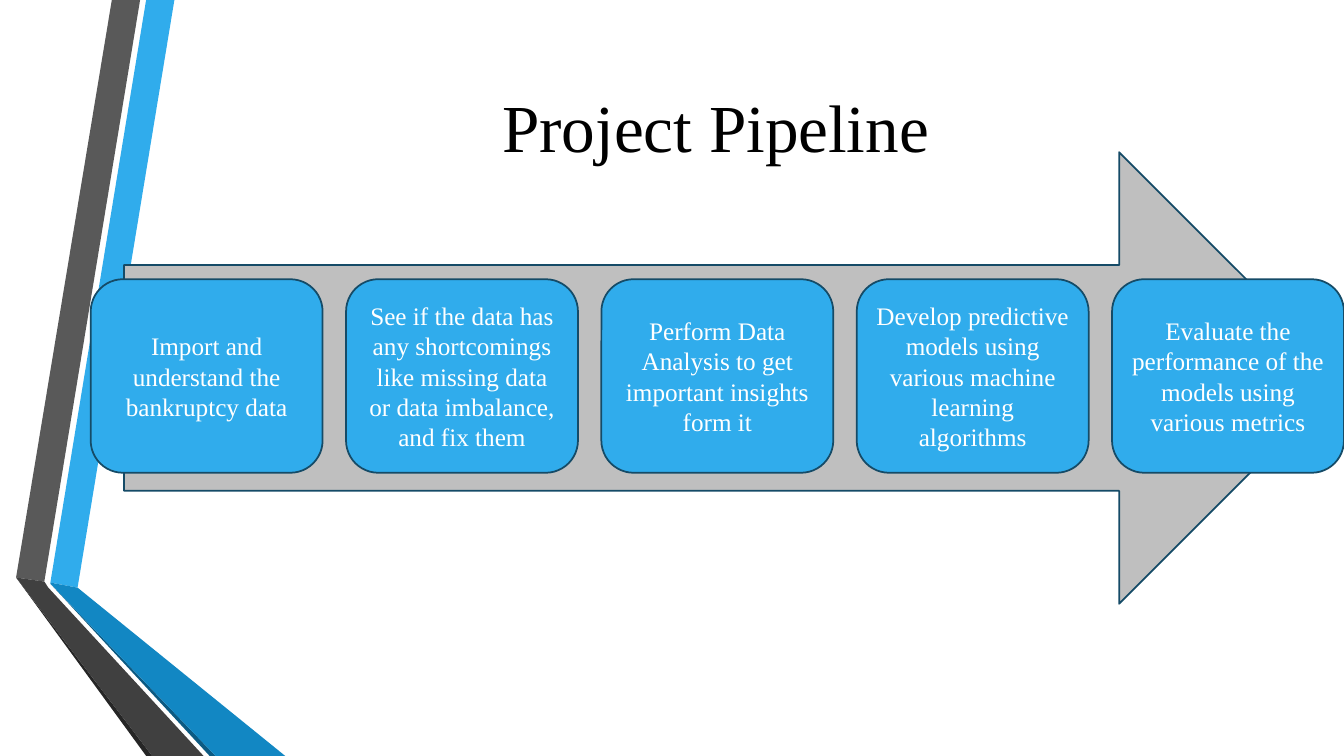
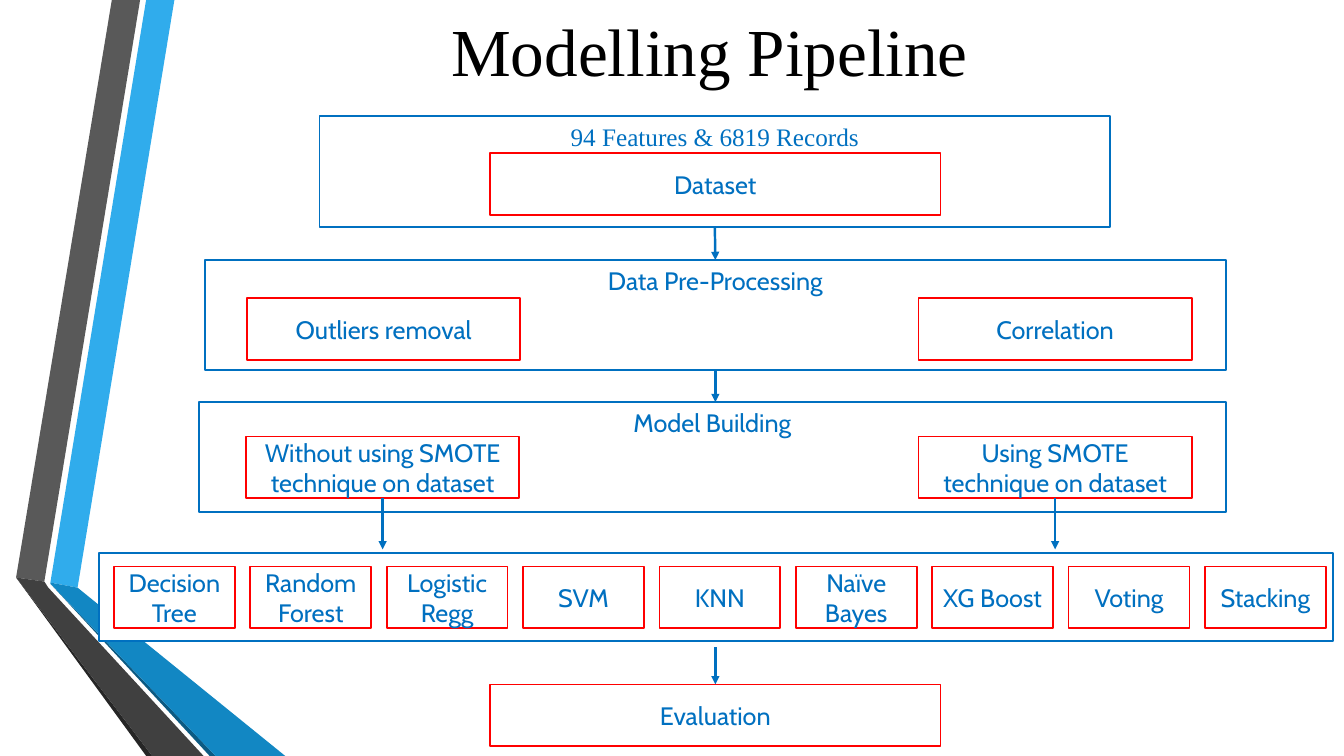
from typing import NamedTuple, Optional

from lxml.etree import SubElement
from pptx import Presentation
from pptx.dml.color import RGBColor
from pptx.enum.shapes import MSO_CONNECTOR as Connector
from pptx.enum.shapes import MSO_SHAPE as Preset
from pptx.enum.text import MSO_ANCHOR as Anchor
from pptx.enum.text import PP_ALIGN as Align
from pptx.oxml.ns import qn
from pptx.shapes.autoshape import Shape
from pptx.slide import Slide
from pptx.util import Inches, Pt

# Shared colours and fonts
BLACK, WHITE, GREY = "000000", "FFFFFF", "BFBFBF"
SKY, NAVY = "30ACEC", "154B67"
BLUE, RED = "0070C0", "FF0000"
SERIF, SANS = "Times New Roman", "Cabin"
BOTTOM_SIDE, TOP_SIDE = 2, 0


class Area(NamedTuple):
    left: float
    top: float
    width: float
    height: float


class Style(NamedTuple):
    fill: str
    line: str
    text: str = WHITE
    font: str = SERIF
    anchor: Anchor = Anchor.MIDDLE
    preset: Preset = Preset.RECTANGLE


class Ribbon(NamedTuple):
    colour: str
    points: list[tuple[float, float]]


class Node(NamedTuple):
    label: str
    area: Area


STEP = Style(SKY, NAVY, preset=Preset.ROUNDED_RECTANGLE)
BAND_ARROW = Style(GREY, NAVY, preset=Preset.RIGHT_ARROW)
FRAME = Style(WHITE, BLUE, BLUE, SANS, Anchor.TOP)
TASK = Style(WHITE, RED, BLUE, SANS)

RIBBONS = [
    Ribbon(SKY, [(0.5, 5.78), (0.77, 5.83), (1.73, 0), (1.45, 0)]),
    Ribbon("595959", [(1.39, 0), (1.11, 0), (0.16, 5.73), (0.44, 5.77)]),
    Ribbon("262626", [(0.16, 5.73), (1.45, 7.5), (1.51, 7.5)]),
    Ribbon("0C5A82", [(0.5, 5.79), (2.08, 7.5), (2.14, 7.5)]),
    Ribbon("1287C3", [(0.5, 5.78), (0.5, 5.79), (2.14, 7.5), (2.83, 7.5), (0.77, 5.83)]),
    Ribbon("404040", [(0.16, 5.73), (1.51, 7.5), (2.02, 7.5), (0.48, 5.83), (0.44, 5.77)]),
]

# Slide content
STEPS = [
    "Import and understand the bankruptcy data",
    "See if the data has any shortcomings like missing data or data imbalance, and fix them",
    "Perform Data Analysis to get important insights form it",
    "Develop predictive models using various machine learning algorithms",
    "Evaluate the performance of the models using various metrics",
]
MODELS = ["Decision Tree", "Random Forest", "Logistic Regg", "SVM", "KNN",
          "Naïve Bayes", "XG Boost", "Voting", "Stacking"]
TASKS = [
    Node("Dataset", Area(4.86, 1.52, 4.47, 0.61)),
    Node("Outliers removal", Area(2.45, 2.96, 2.71, 0.61)),
    Node("Correlation", Area(9.11, 2.96, 2.71, 0.61)),
]
SMOTE_TASKS = [
    Node("Without using SMOTE technique on dataset", Area(2.44, 4.33, 2.71, 0.61)),
    Node("Using SMOTE technique on dataset", Area(9.11, 4.33, 2.71, 0.61)),
]


def rgb(colour: str) -> RGBColor:
    return RGBColor.from_string(colour)


def write(shape: Shape, text: str, size: float, font: str, colour: str, anchor: Anchor) -> None:
    frame = shape.text_frame
    frame.word_wrap = True
    frame.vertical_anchor = anchor
    para = frame.paragraphs[0]
    para.text = text
    para.alignment = Align.CENTER
    para.font.size = Pt(size)
    para.font.name = font
    para.font.color.rgb = rgb(colour)


def paint(shape: Shape, fill: str, line: Optional[str] = None) -> None:
    shape.shadow.inherit = False
    shape.fill.solid()
    shape.fill.fore_color.rgb = rgb(fill)
    if line:
        shape.line.color.rgb = rgb(line)
        shape.line.width = Pt(1.25)
    else:
        shape.line.fill.background()


def add_box(page: Slide, area: Area, style: Style, text: str = "") -> Shape:
    box = page.shapes.add_shape(style.preset, *map(Inches, area))
    paint(box, style.fill, style.line)
    if text:
        write(box, text, 18, style.font, style.text, style.anchor)
    return box


def add_row(page: Slide, labels: list[str], first: Area, last_left: float, style: Style) -> None:
    """Spread equal boxes from the first area to the last left edge."""
    pitch = (last_left - first.left) / (len(labels) - 1)
    for index, label in enumerate(labels):
        add_box(page, first._replace(left=first.left + index * pitch), style, label)


def add_arrow(page: Slide, start: float, stop: float,
              source: Optional[Shape] = None, target: Optional[Shape] = None) -> None:
    """Draw a downward arrow on the centre line of the box it is joined to."""
    box = source or target
    middle = box.left + box.width // 2
    arrow = page.shapes.add_connector(
        Connector.STRAIGHT, middle, Inches(start), middle, Inches(stop))
    if source:
        arrow.begin_connect(source, BOTTOM_SIDE)
    if target:
        arrow.end_connect(target, TOP_SIDE)
    arrow.line.color.rgb = rgb(BLUE)
    arrow.line.width = Pt(1.75)
    properties = arrow.element.find(qn("p:spPr"))
    SubElement(properties.find(qn("a:ln")), qn("a:tailEnd"), type="triangle")
    SubElement(properties, qn("a:effectLst"))


def add_page(deck: Presentation, title: str, area: Area) -> Slide:
    page = deck.slides.add_slide(deck.slide_layouts[6])
    for ribbon in RIBBONS:
        start, *others = [(Inches(x), Inches(y)) for x, y in ribbon.points]
        outline = page.shapes.build_freeform(*start)
        outline.add_line_segments(others, close=True)
        paint(outline.convert_to_shape(), ribbon.colour)
    heading = page.shapes.add_textbox(*map(Inches, area))
    write(heading, title, 48, SERIF, BLACK, Anchor.MIDDLE)
    return page


def build_project_page(deck: Presentation) -> None:
    page = add_page(deck, "Project Pipeline", Area(1.62, 0.75, 10.96, 1))
    add_box(page, Area(1.23, 1.51, 12.11, 4.48), BAND_ARROW)
    add_row(page, STEPS, Area(0.9, 2.77, 2.3, 1.92), 11.03, STEP)


def build_modelling_page(deck: Presentation) -> None:
    page = add_page(deck, "Modelling Pipeline", Area(1.56, 0, 10.96, 0.98))

    # Stage frames
    dataset = add_box(page, Area(3.17, 1.15, 7.84, 1.1), FRAME._replace(font=SERIF),
                      "94 Features & 6819 Records")
    processing = add_box(page, Area(2.03, 2.58, 10.13, 1.09), FRAME, "Data Pre-Processing")
    add_box(page, Area(1.97, 3.99, 10.19, 1.09), FRAME, "Model Building")
    add_box(page, Area(0.98, 5.49, 12.24, 0.87), FRAME)

    # Tasks inside and below the frames
    for task in TASKS:
        add_box(page, task.area, TASK, task.label)
    add_row(page, MODELS, Area(1.13, 5.62, 1.2, 0.61), 11.95, TASK)
    evaluation = add_box(page, Area(4.86, 6.79, 4.47, 0.61), TASK, "Evaluation")

    # Flow arrows
    add_arrow(page, 2.25, 2.58, source=dataset, target=processing)
    add_arrow(page, 3.67, 3.99, source=processing)
    for task in SMOTE_TASKS:
        box = add_box(page, task.area, TASK, task.label)
        add_arrow(page, 4.94, 5.45, source=box)
    add_arrow(page, 6.42, 6.79, target=evaluation)


def main() -> None:
    deck = Presentation()
    deck.slide_width, deck.slide_height = Inches(13.33), Inches(7.5)
    build_project_page(deck)
    build_modelling_page(deck)
    deck.save("out.pptx")


if __name__ == "__main__":
    main()
